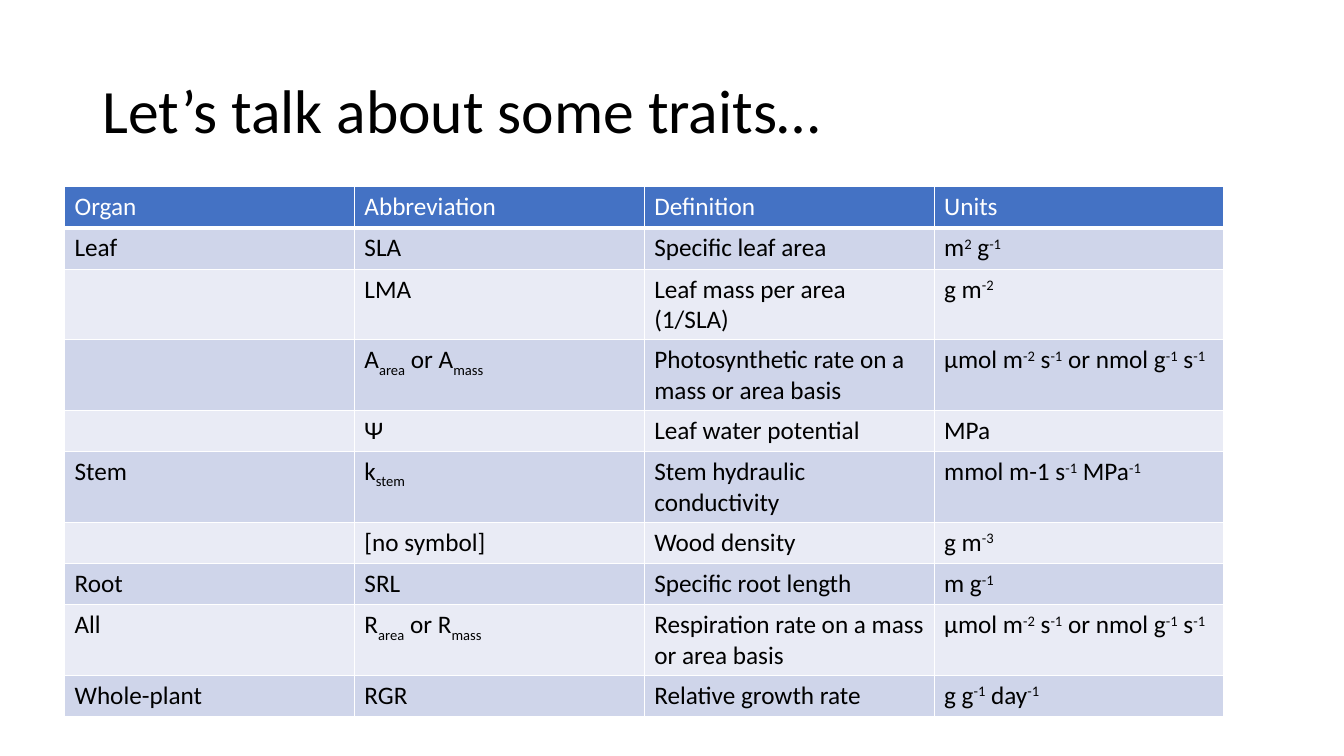
import pptx
import pptx.dml.color
import pptx.enum.text
import pptx.oxml.ns
import pptx.util
from lxml import etree

Inches = pptx.util.Inches
Pt = pptx.util.Pt

# Text between bars is shifted: subscript for abbreviations, superscript for units.
TRAITS = [
    ("Organ", "Abbreviation", "Definition", "Units"),
    ("Leaf", "SLA", "Specific leaf area", "m|2| g|-1"),
    ("", "LMA", "Leaf mass per area (1/SLA)", "g m|-2"),
    ("", "A|area| or A|mass", "Photosynthetic rate on a mass or area basis",
     "µmol m|-2| s|-1| or nmol g|-1| s|-1"),
    ("", "Ψ", "Leaf water potential", "MPa"),
    ("Stem", "k|stem", "Stem hydraulic conductivity", "mmol m-1 s|-1| MPa|-1"),
    ("", "[no symbol]", "Wood density", "g m|-3"),
    ("Root", "SRL", "Specific root length", "m g|-1"),
    ("All", "R|area| or R|mass", "Respiration rate on a mass or area basis",
     "µmol m|-2| s|-1| or nmol g|-1| s|-1"),
    ("Whole-plant", "RGR", "Relative growth rate", "g g|-1| day|-1"),
]
SHIFTS = (0, -25000, 0, 30000)


def rgb(value):
    return pptx.dml.color.RGBColor.from_string(value)


class SlideBuilder:
    font = "Calibri"
    black, white = "000000", "FFFFFF"
    header_fill = "4472C4"
    bands = ("E9EBF5", "CFD5EA")

    def __init__(self, prs):
        self.s = prs.slides.add_slide(prs.slide_layouts[6])
        self.s.background.fill.solid()
        self.s.background.fill.fore_color.rgb = rgb(self.white)

    def runs(self, p, text, size, color, shift=0):
        """Add text run by run, moving every second part off the baseline."""
        for i, part in enumerate(text.split("|")):
            if not part:
                continue
            r = p.add_run()
            r.text = part
            r.font.name = self.font
            r.font.size = Pt(size)
            r.font.bold = False
            r.font.color.rgb = rgb(color)
            if i % 2:
                r.font._element.set("baseline", str(shift))

    def title(self, text, left, top, width, height):
        sp = self.s.shapes.add_textbox(Inches(left), Inches(top), Inches(width), Inches(height))
        tf = sp.text_frame
        tf.word_wrap = True
        tf.vertical_anchor = pptx.enum.text.MSO_ANCHOR.MIDDLE
        p = tf.paragraphs[0]
        p.line_spacing = 0.9
        self.runs(p, text, 44, self.black)

    def borders(self, cell, bottom):
        tc_pr = cell._tc.get_or_add_tcPr()
        qn = pptx.oxml.ns.qn
        for side, width in (("L", 1), ("R", 1), ("T", 1), ("B", bottom)):
            ln = etree.SubElement(tc_pr, qn("a:ln" + side), w=str(Pt(width)))
            fill = etree.SubElement(ln, qn("a:solidFill"))
            etree.SubElement(fill, qn("a:srgbClr"), val=self.white)

    def table(self, rows, shifts, left, top, width, row_height):
        frame = self.s.shapes.add_table(len(rows), len(shifts), Inches(left), Inches(top),
                                        Inches(width), Inches(row_height * len(rows)))
        table = frame.table
        for column in table.columns:
            column.width = Inches(width / len(shifts))
        for i, row in enumerate(rows):
            table.rows[i].height = Inches(row_height)
            header = i == 0
            for j, text in enumerate(row):
                cell = table.cell(i, j)
                self.borders(cell, 3 if header else 1)
                cell.fill.solid()
                cell.fill.fore_color.rgb = rgb(self.header_fill if header else self.bands[i % 2])
                p = cell.text_frame.paragraphs[0]
                p.font.size = Pt(18)
                self.runs(p, text, 18, self.white if header else self.black, shifts[j])


def main():
    prs = pptx.Presentation()
    prs.slide_width, prs.slide_height = Inches(13.33), Inches(7.5)
    slide = SlideBuilder(prs)
    slide.title("Let’s talk about some traits…", 0.92, 0.4, 11.5, 1.45)
    slide.table(TRAITS, SHIFTS, 0.64, 1.85, 11.5, 0.41)
    prs.save("out.pptx")


if __name__ == "__main__":
    main()
